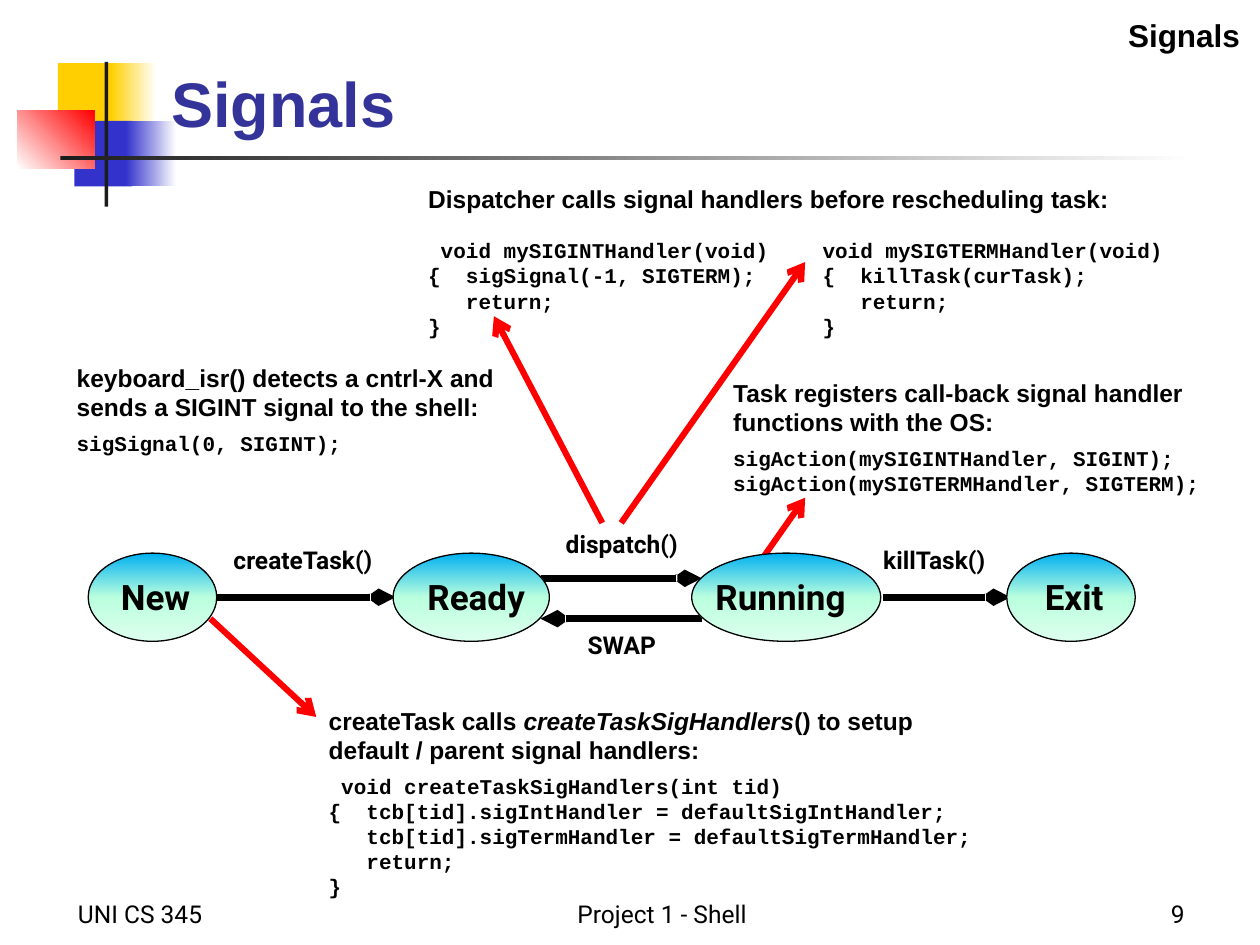
from dataclasses import dataclass
from typing import Optional

from lxml.etree import SubElement
from pptx import Presentation
from pptx.dml.color import RGBColor
from pptx.enum.shapes import MSO_CONNECTOR, MSO_SHAPE
from pptx.enum.text import MSO_ANCHOR, MSO_AUTO_SIZE, PP_ALIGN
from pptx.oxml.ns import qn
from pptx.shapes.autoshape import Shape
from pptx.slide import Slide
from pptx.util import Inches, Pt

WHITE = RGBColor(0xFF, 0xFF, 0xFF)
BLACK = RGBColor(0x00, 0x00, 0x00)
CHARCOAL = RGBColor(0x1C, 0x1C, 0x1C)
YELLOW = RGBColor(0xFF, 0xCF, 0x01)
BLUE = RGBColor(0x33, 0x33, 0xCC)
TITLE_BLUE = RGBColor(0x33, 0x33, 0x99)
RED = RGBColor(0xFF, 0x00, 0x00)
SKY = RGBColor(0x00, 0xB0, 0xF0)
MINT = RGBColor(0xBA, 0xFF, 0xDE)
PALE_MINT = RGBColor(0xDD, 0xFF, 0xEE)

STATE_TOP, STATE_HEIGHT = 4.39, 0.7


@dataclass(frozen=True)
class Block:
    left: float
    top: float
    width: float
    height: float
    colors: tuple[RGBColor, ...]
    angle: int = 0


@dataclass(frozen=True)
class Style:
    font: str
    size: int
    bold: bool = True
    color: RGBColor = BLACK


@dataclass(frozen=True)
class Label:
    text: str
    left: float
    top: float
    width: float
    height: float
    style: Style
    align: PP_ALIGN = PP_ALIGN.CENTER
    anchor: MSO_ANCHOR = MSO_ANCHOR.TOP


@dataclass(frozen=True)
class Note:
    left: float
    top: float
    width: float
    height: float
    heading: tuple[tuple[str, ...], ...]
    code: tuple[str, ...]
    gap: int = 5
    tab: Optional[float] = None


@dataclass(frozen=True)
class Arrow:
    start: tuple[float, float]
    end: tuple[float, float]
    color: RGBColor = RED
    weight: float = 3.5
    head_width: str = "med"


@dataclass(frozen=True)
class State:
    name: str
    left: float
    width: float
    label_left: float
    label_width: float


HEADING = Style("Arial", 14)
CODE = Style("Courier New", 12)
FOOTER = Style("Roboto", 14, bold=False)
CALL = Style("Roboto", 14)
STATE = Style("Roboto", 20)
TITLE = Style("Arial", 36, color=TITLE_BLUE)

BLOCKS = (
    Block(0.46, 0.5, 0.48, 0.52, (YELLOW,)),
    Block(0.88, 0.5, 0.36, 0.52, (YELLOW, WHITE)),
    Block(0.59, 0.96, 0.46, 0.52, (BLUE,)),
    Block(1, 0.96, 0.4, 0.52, (BLUE, WHITE)),
    Block(0.14, 0.88, 0.61, 0.46, (WHITE, RED), 315),
    Block(0.83, 0.49, 0.03, 1.15, (CHARCOAL,)),
    Block(0.48, 1.24, 9, 0.03, (CHARCOAL, WHITE)),
)
LABELS = (
    Label("UNI CS 345", 0.52, 6.92, 2.08, 0.5, FOOTER, PP_ALIGN.LEFT, MSO_ANCHOR.BOTTOM),
    Label("Project 1 - Shell", 3.67, 6.92, 3.17, 0.5, FOOTER, anchor=MSO_ANCHOR.BOTTOM),
    Label("9", 7.42, 6.92, 2.08, 0.5, FOOTER, PP_ALIGN.RIGHT, MSO_ANCHOR.BOTTOM),
    Label("Signals", 7.07, 0.08, 2.87, 0.4, Style("Arial", 18), PP_ALIGN.RIGHT),
    Label("createTask()", 1.6, 4.28, 1.61, 0.34, CALL),
    Label("dispatch()", 4.13, 4.15, 1.61, 0.34, CALL),
    Label("SWAP", 4.13, 4.95, 1.61, 0.34, CALL),
    Label("killTask()", 6.61, 4.28, 1.61, 0.34, CALL),
)
NOTES = (
    Note(5.72, 2.95, 3.98, 1.04,
         (("Task registers call-back signal handler functions with the OS:",),),
         ("sigAction(mySIGINTHandler, SIGINT);", "sigAction(mySIGTERMHandler, SIGTERM);")),
    Note(0.51, 2.83, 3.61, 0.84,
         (("keyboard_isr() detects a cntrl-X and sends a SIGINT signal to the shell:",),),
         ("sigSignal(0, SIGINT);",)),
    Note(2.51, 5.55, 5.71, 1.65,
         (("createTask calls ", "createTaskSigHandlers", "() to setup"),
          ("default / parent signal handlers:",)),
         (" void createTaskSigHandlers(int tid)",
          "{  tcb[tid].sigIntHandler = defaultSigIntHandler;",
          "   tcb[tid].sigTermHandler = defaultSigTermHandler;",
          "   return;",
          "}")),
    Note(3.3, 1.41, 6.17, 1.35,
         (("Dispatcher calls signal handlers before rescheduling task:",),),
         (" void mySIGINTHandler(void)\tvoid mySIGTERMHandler(void)",
          "{  sigSignal(-1, SIGTERM);\t{  killTask(curTask);",
          "   return;\t   return;",
          "}\t}"),
         gap=14, tab=3.13),
)
TRANSITIONS = (
    ((1.67, 4.74), (3.14, 4.74)),
    ((7.01, 4.74), (8.02, 4.74)),
    ((4.29, 4.59), (5.57, 4.59)),
    ((5.57, 4.91), (4.29, 4.91)),
)
ARROWS = (
    Arrow((5.99, 4.52), (6.39, 3.95)),
    Arrow((1.67, 4.91), (2.51, 5.69)),
    Arrow((4.78, 4.15), (3.92, 2.51)),
    Arrow((4.93, 4.15), (6.39, 2.08)),
    *(Arrow(start, end, BLACK, 4, "sm") for start, end in TRANSITIONS),
)
STATES = (
    State("New", 0.7, 1.02, 0.7, 1.07),
    State("Ready", 3.12, 1.24, 3.13, 1.3),
    State("Running", 5.49, 1.5, 5.5, 1.39),
    State("Exit", 7.99, 1.02, 7.99, 1.07),
)


def format_spans(para, style: Style) -> None:
    for span in para.runs:
        span.font.name = style.font
        span.font.size = Pt(style.size)
        span.font.bold = style.bold
        span.font.color.rgb = style.color


def fill_shape(shape: Shape, colors: tuple[RGBColor, ...], angle: int) -> None:
    if len(colors) == 1:
        shape.fill.solid()
        shape.fill.fore_color.rgb = colors[0]
        return
    shape.fill.gradient()
    shape.fill.gradient_angle = (360 - angle) % 360
    stops = shape._element.spPr.find(".//" + qn("a:gsLst"))
    for stop in list(stops):
        stops.remove(stop)
    for index, color in enumerate(colors):
        stop = SubElement(stops, qn("a:gs"), pos=str(index * 100000 // (len(colors) - 1)))
        SubElement(stop, qn("a:srgbClr"), val=str(color))


def draw_block(slide: Slide, block: Block, kind: MSO_SHAPE = MSO_SHAPE.RECTANGLE) -> Shape:
    shape = slide.shapes.add_shape(kind, Inches(block.left), Inches(block.top),
                                   Inches(block.width), Inches(block.height))
    shape.shadow.inherit = False
    fill_shape(shape, block.colors, block.angle)
    shape.line.fill.background()
    return shape


def add_text_box(slide: Slide, area: Label | Note) -> Shape:
    box = slide.shapes.add_textbox(Inches(area.left), Inches(area.top),
                                   Inches(area.width), Inches(area.height))
    box.text_frame.word_wrap = True
    return box


def draw_label(slide: Slide, label: Label) -> None:
    frame = add_text_box(slide, label).text_frame
    frame.vertical_anchor = label.anchor
    frame.text = label.text
    frame.paragraphs[0].alignment = label.align
    format_spans(frame.paragraphs[0], label.style)


def draw_note(slide: Slide, note: Note) -> None:
    frame = add_text_box(slide, note).text_frame
    frame.text = "\n".join(["".join(spans) for spans in note.heading] + list(note.code))
    heading_count = len(note.heading)
    for para, spans in zip(frame.paragraphs, note.heading):
        para.text = spans[0]
        for index, text in enumerate(spans[1:], 1):
            span = para.add_run()
            span.text = text
            span.font.italic = index % 2 == 1
        format_spans(para, HEADING)
    for para in frame.paragraphs[heading_count:]:
        format_spans(para, CODE)
        if note.tab:
            tabs = SubElement(para._p.get_or_add_pPr(), qn("a:tabLst"))
            SubElement(tabs, qn("a:tab"), pos=str(Inches(note.tab)), algn="l")
    frame.paragraphs[heading_count].space_before = Pt(note.gap)


def draw_arrow(slide: Slide, arrow: Arrow) -> None:
    ends = [Inches(value) for value in arrow.start + arrow.end]
    connector = slide.shapes.add_connector(MSO_CONNECTOR.STRAIGHT, *ends)
    connector.line.color.rgb = arrow.color
    connector.line.width = Pt(arrow.weight)
    SubElement(connector.line._get_or_add_ln(), qn("a:tailEnd"),
               type="arrow", w=arrow.head_width, len="med")
    SubElement(connector._element.spPr, qn("a:effectLst"))


def draw_state(slide: Slide, state: State) -> None:
    area = Block(state.left, STATE_TOP, state.width, STATE_HEIGHT, (SKY, MINT, PALE_MINT), 90)
    ellipse = draw_block(slide, area, MSO_SHAPE.OVAL)
    ellipse.line.color.rgb = BLACK
    ellipse.line.width = Pt(0.75)
    draw_label(slide, Label(state.name, state.label_left, STATE_TOP + 0.13,
                            state.label_width, 0.44, STATE))


def draw_title(slide: Slide) -> None:
    title = slide.shapes.title
    title.left, title.top = Inches(1.26), Inches(0.21)
    title.width, title.height = Inches(8.52), Inches(0.95)
    frame = title.text_frame
    frame.text = "Signals"
    frame.auto_size = MSO_AUTO_SIZE.NONE
    frame.vertical_anchor = MSO_ANCHOR.BOTTOM
    frame.paragraphs[0].alignment = PP_ALIGN.LEFT
    format_spans(frame.paragraphs[0], TITLE)


def main() -> None:
    deck = Presentation()
    deck.slide_width, deck.slide_height = Inches(10), Inches(7.5)
    page = deck.slides.add_slide(deck.slide_layouts[5])
    draw_title(page)
    for draw, items in ((draw_block, BLOCKS), (draw_note, NOTES), (draw_arrow, ARROWS),
                        (draw_label, LABELS), (draw_state, STATES)):
        for item in items:
            draw(page, item)
    title = page.shapes.title._element
    title.getparent().append(title)
    deck.save("out.pptx")


if __name__ == "__main__":
    main()
